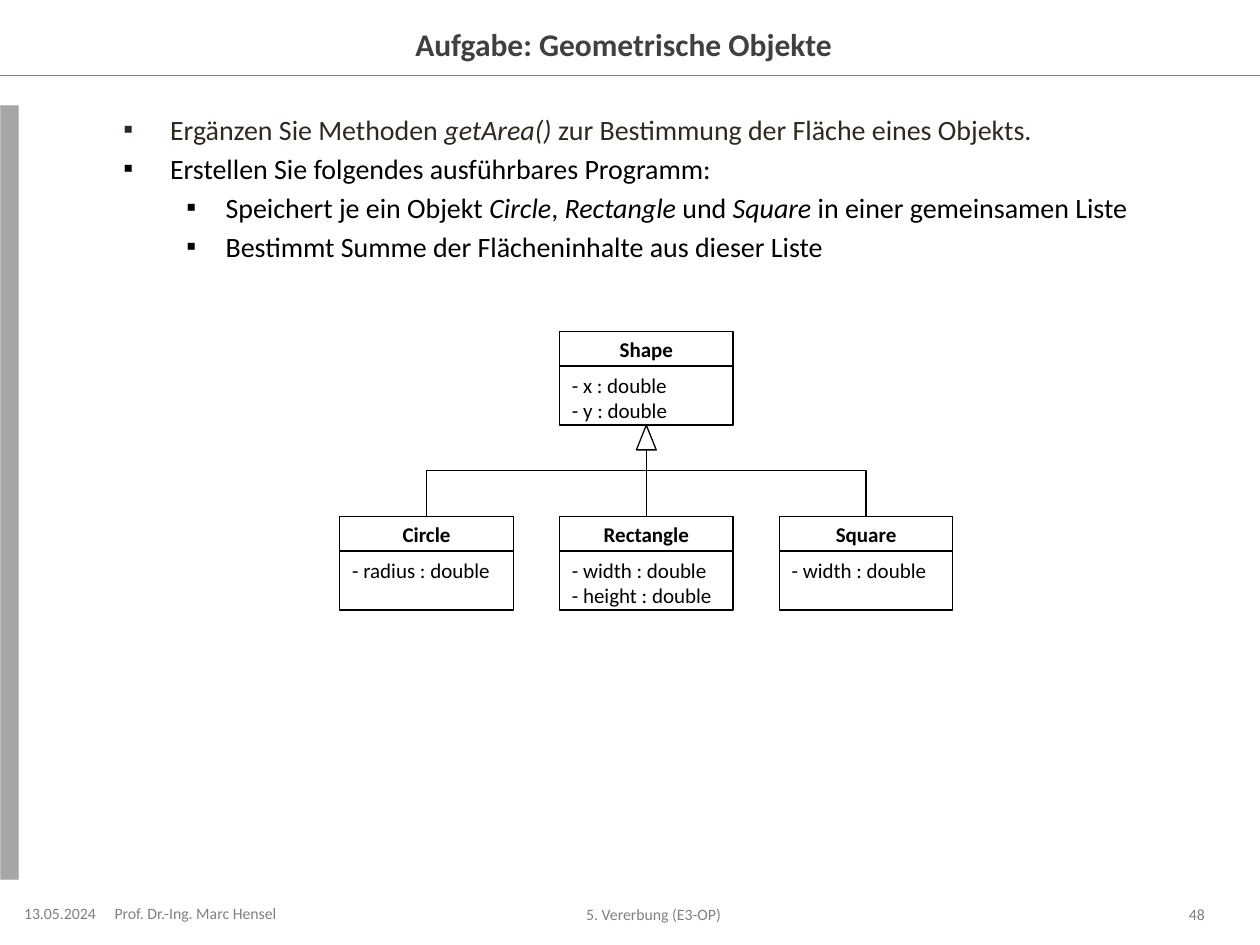
from lxml import etree
from pptx import Presentation
from pptx.dml.color import RGBColor
from pptx.enum.shapes import MSO_CONNECTOR, MSO_SHAPE
from pptx.enum.text import MSO_ANCHOR, PP_ALIGN
from pptx.oxml.ns import qn
from pptx.util import Cm, Pt

RECT, TRIANGLE = MSO_SHAPE.RECTANGLE, MSO_SHAPE.ISOSCELES_TRIANGLE
STRAIGHT, ELBOW = MSO_CONNECTOR.STRAIGHT, MSO_CONNECTOR.ELBOW
LEFT, CENTER, RIGHT = PP_ALIGN.LEFT, PP_ALIGN.CENTER, PP_ALIGN.RIGHT
TOP, MIDDLE = MSO_ANCHOR.TOP, MSO_ANCHOR.MIDDLE

BLACK, WHITE, GRAY = "000000", "FFFFFF", "808080"
BULLET_INDENTS = [(1.12, -0.94), (2.24, -0.79)]  # left margin, first line

CLASS_W, HEAD_H, ATTR_H = 3.5, 0.7, 1.19
CLASS_PITCH = 4.43
PARENT_X, PARENT_Y, CHILD_Y = 11.28, 6.68, 10.41
CHILDREN = [
    ("Circle", ["- radius : double"]),
    ("Rectangle", ["- width : double", "- height : double"]),
    ("Square", ["- width : double"]),
]
TASKS = [
    (0, "2F291D", "Ergänzen Sie Methoden *getArea()* zur Bestimmung der Fläche eines Objekts."),
    (0, BLACK, "Erstellen Sie folgendes ausführbares Programm:"),
    (1, BLACK, "Speichert je ein Objekt *Circle*, *Rectangle* und *Square* in einer gemeinsamen Liste"),
    (1, BLACK, "Bestimmt Summe der Flächeninhalte aus dieser Liste"),
]
FOOTERS = [
    ("5. Vererbung (E3-OP)", (6.3, 18.24, 14, 0.38), CENTER),
    ("13.05.2024", (0.38, 18.21, 1.91, 0.41), CENTER),
    ("Prof. Dr.-Ing. Marc Hensel", (2.31, 18.21, 3.81, 0.38), LEFT),
    ("48", (22.66, 18.24, 1.63, 0.38), RIGHT),
]


def rgb(color):
    return RGBColor.from_string(color)


def cm(*lengths):
    return [Cm(n) for n in lengths]


def write(p, text, size=12, color=BLACK, bold=False, align=LEFT, font="Calibri"):
    """Fill a paragraph; parts between asterisks are italic."""
    p.alignment = align
    for i, part in enumerate(text.split("*")):
        r = p.add_run()
        r.text = part
        r.font.name, r.font.size, r.font.bold = font, Pt(size), bold
        r.font.italic = i % 2 == 1
        r.font.color.rgb = rgb(color)


def add_bullet(p, level):
    p.level = level
    p.space_before = Pt(3.2)
    margin, indent = BULLET_INDENTS[level]
    pPr = p._p.get_or_add_pPr()
    pPr.set("marL", str(Cm(margin)))
    pPr.set("indent", str(Cm(indent)))
    etree.SubElement(pPr, qn("a:buFont"), typeface="Arial")
    etree.SubElement(pPr, qn("a:buChar"), char="▪")


class SlideBuilder:
    def __init__(self, slide, line_width=0.75):
        self.s = slide
        self.line_width = Pt(line_width)

    def frame(self, sp, anchor=MIDDLE, left=0.25, right=0.25):
        tf = sp.text_frame
        tf.word_wrap = True
        tf.vertical_anchor = anchor
        tf.margin_left, tf.margin_right = cm(left, right)
        tf.margin_top = tf.margin_bottom = Cm(0.13)
        return tf

    def title(self, text, box):
        sp = self.s.shapes.title
        sp.left, sp.top, sp.width, sp.height = cm(*box)
        p = self.frame(sp, left=0).paragraphs[0]
        write(p, text, size=18, color="404040", bold=True, align=CENTER)

    def text(self, text, box, align):
        sp = self.s.shapes.add_textbox(*cm(*box))
        margins = {"right": 0} if align == RIGHT else {"left": 0}
        write(self.frame(sp, **margins).paragraphs[0], text, size=9, color=GRAY, align=align)

    def bullets(self, items, box):
        tf = self.frame(self.s.shapes.add_textbox(*cm(*box)), TOP, left=0)
        for i, (level, color, text) in enumerate(items):
            p = tf.add_paragraph() if i else tf.paragraphs[0]
            write(p, text, size=16, color=color)
            add_bullet(p, level)

    def shape(self, kind, box, fill=WHITE, line=BLACK, shapes=None):
        sp = (shapes or self.s.shapes).add_shape(kind, *cm(*box))
        sp.shadow.inherit = False
        sp.fill.solid()
        sp.fill.fore_color.rgb = rgb(fill)
        sp.line.color.rgb = rgb(line)
        sp.line.width = self.line_width
        return sp

    def line(self, kind, start, end, color=BLACK):
        cxn = self.s.shapes.add_connector(kind, *cm(*start, *end))
        cxn.line.color.rgb = rgb(color)
        cxn.line.width = self.line_width
        etree.SubElement(cxn._element.spPr, qn("a:effectLst"))
        return cxn

    def inheritance(self, child, parent):
        """Elbow leaving the child upwards: a horizontal elbow turned by 270 degrees."""
        (x1, y1), (x2, y2) = child, parent
        cx, cy = (x1 + x2) / 2, (y1 + y2) / 2
        dx, dy = (x1 - x2) / 2, (y1 - y2) / 2
        cxn = self.line(ELBOW, (cx - dy, cy + dx), (cx + dy, cy - dx))
        cxn._element.spPr.find(qn("a:xfrm")).set("rot", str(270 * 60000))

    def uml_class(self, name, attributes, x, y):
        shapes = self.s.shapes.add_group_shape().shapes
        head = self.shape(RECT, (x, y, CLASS_W, HEAD_H), shapes=shapes)
        write(self.frame(head).paragraphs[0], name, bold=True, align=CENTER)
        body = self.shape(RECT, (x, y + HEAD_H, CLASS_W, ATTR_H), shapes=shapes)
        tf = self.frame(body, TOP)
        for i, attribute in enumerate(attributes):
            write(tf.add_paragraph() if i else tf.paragraphs[0], attribute)


def main():
    prs = Presentation()
    prs.slide_width, prs.slide_height = cm(25.4, 19.05)
    b = SlideBuilder(prs.slides.add_slide(prs.slide_layouts[5]))

    b.line(STRAIGHT, (0, 1.52), (25.4, 1.52), GRAY)
    b.shape(RECT, (0, 2.13, 0.38, 15.6), "A6A6A6", "BFBFBF")
    b.title("Aufgabe: Geometrische Objekte", (3.15, 0.38, 19.1, 0.99))
    b.bullets(TASKS, (2.31, 2.13, 22, 15.6))
    for footer in FOOTERS:
        b.text(*footer)

    b.uml_class("Shape", ["- x : double", "- y : double"], PARENT_X, PARENT_Y)
    tip = (PARENT_X + CLASS_W / 2, PARENT_Y + HEAD_H + ATTR_H)
    for i, (name, attributes) in enumerate(CHILDREN):
        x = PARENT_X + (i - 1) * CLASS_PITCH
        b.inheritance((x + CLASS_W / 2, CHILD_Y), tip)
        b.uml_class(name, attributes, x, CHILD_Y)
    b.shape(TRIANGLE, (tip[0] - 0.2, tip[1], 0.4, 0.5))

    prs.save("out.pptx")


if __name__ == "__main__":
    main()
